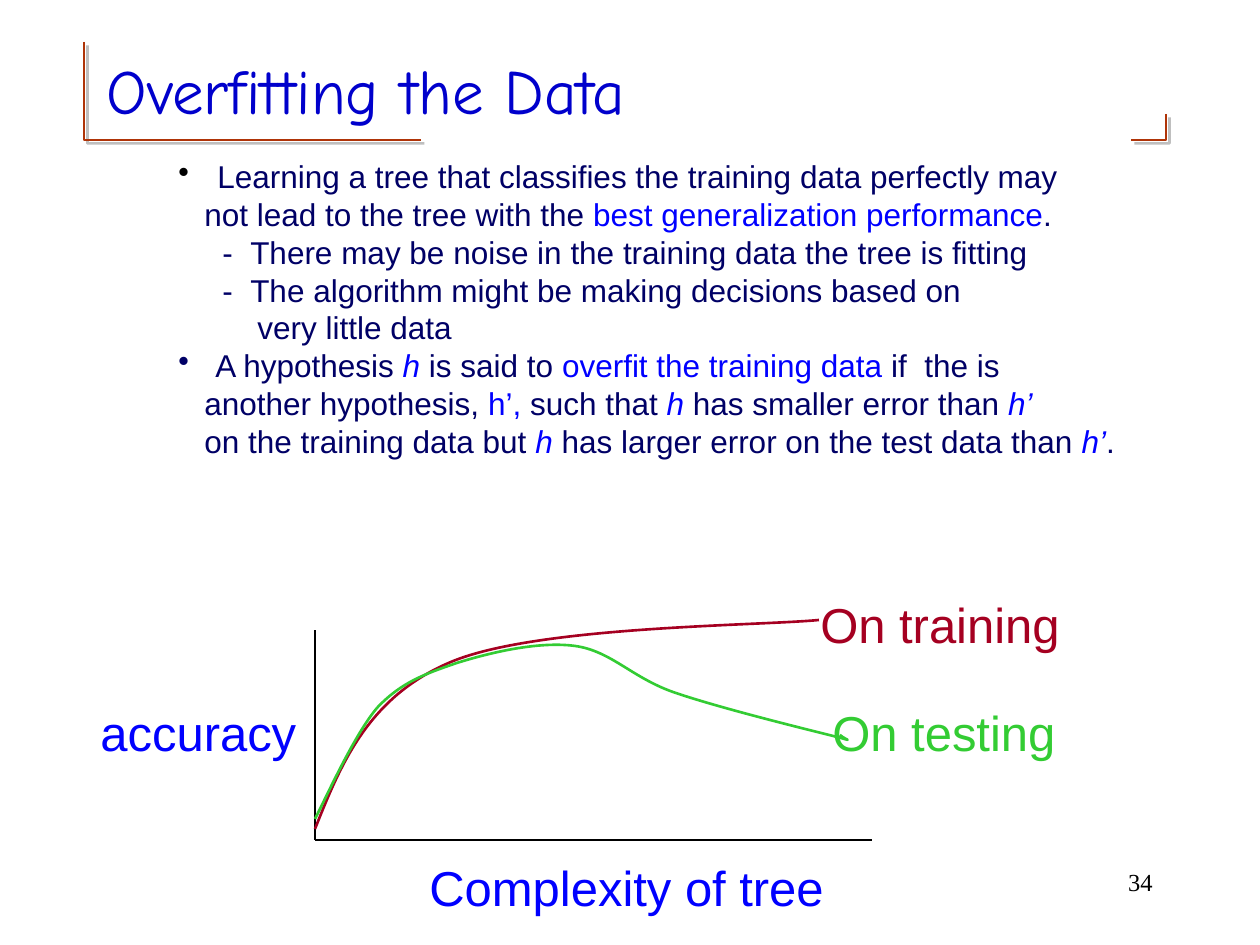
"""Build the slide on overfitting in decision trees."""
from lxml import etree
from pptx import Presentation, util as u
from pptx.dml.color import RGBColor
from pptx.enum import text
from pptx.oxml import parse_xml
from pptx.oxml.ns import nsdecls, qn

PX = 914400 / 126
HUE = {"ink": "000066", "blue": "0000FF", "title": "0000CC", "black": "000000",
       "rust": "AF3408", "train": "A50021", "test": "33CC33"}
SHADE = (f'<a:outerShdw {nsdecls("a")} dist="35560" dir="2700000" algn="ctr" rotWithShape="0">'
         '<a:srgbClr val="808080"><a:alpha val="50000"/></a:srgbClr></a:outerShdw>')


def trace(pts, hue):
    (x, y), *rest = [(a * PX, b * PX) for a, b in pts]
    pen = slide.shapes.build_freeform(x, y, scale=1.0)
    pen.add_line_segments(rest, close=False)
    shape = pen.convert_to_shape()
    shape.fill.background()
    shape.shadow.inherit = False
    shape.line.color.rgb = RGBColor.from_string(HUE[hue])
    shape.line.width = u.Pt(1.5)
    return shape


def write(para, words, hue, **style):
    run = para.add_run()
    run.text = words
    for key, val in style.items():
        setattr(run.font, key, val)
    run.font.color.rgb = RGBColor.from_string(HUE[hue])


prs = Presentation()
prs.slide_width, prs.slide_height = u.Inches(10), u.Inches(7.5)
slide = prs.slides.add_slide(prs.slide_layouts[5])

for pts in ([(84, 42), (84, 140), (421, 140)], [(1166, 114), (1166, 140), (1131, 140)]):
    frame = trace(pts, "rust")
    frame._element.spPr.find(qn("a:effectLst")).append(parse_xml(SHADE))

head = slide.shapes.title
spot = {"left": 94, "top": 10, "width": 1134, "height": 158}
for key, val in spot.items():
    setattr(head, key, u.Emu(round(val * PX)))
head.text_frame.vertical_anchor = text.MSO_ANCHOR.MIDDLE
para = head.text_frame.paragraphs[0]
para.alignment = text.PP_ALIGN.LEFT
write(para, "Overfitting the Data", "title", name="Comic Neue", size=u.Pt(36))

BODY = [
    ("black", 39, 39, [("Learning a tree that classifies the training data perfectly may", "ink", False)]),
    ("", 26, 0, [("not lead to the tree with the ", "ink", False),
                 ("best generalization performance", "blue", False), (".", "ink", False)]),
    ("", 72, 28, [("-\tThere may be noise in the training data the tree is fitting", "ink", False)]),
    ("", 72, 28, [("-\tThe algorithm might be making decisions based on", "ink", False)]),
    ("", 79, 0, [("very little data", "ink", False)]),
    ("ink", 37, 37, [("A hypothesis ", "ink", False), ("h", "blue", True),
                     (" is said to ", "ink", False),
                     ("overfit the training data", "blue", False),
                     (" if  the is", "ink", False)]),
    ("", 26, 0, [("another hypothesis, ", "ink", False), ("h’, ", "blue", False),
                 ("such that ", "ink", False), ("h ", "blue", True),
                 ("has smaller error than ", "ink", False), ("h’", "blue", True)]),
    ("", 26, 0, [("on the training data but ", "ink", False), ("h", "blue", True),
                 (" has larger error on the test data than ", "ink", False),
                 ("h’", "blue", True), (".", "ink", False)]),
]
box = slide.shapes.add_textbox(*[round(v * PX) for v in (166, 151, 970, 315)])
box.text_frame.word_wrap = True
for i, (mark, left, hang, runs) in enumerate(BODY):
    para = box.text_frame.add_paragraph() if i else box.text_frame.paragraphs[0]
    prop = para._p.get_or_add_pPr()
    prop.set("marL", str(round(left * PX)))
    prop.set("indent", str(round(-hang * PX)))
    if mark:
        color = etree.SubElement(prop, qn("a:buClr"))
        etree.SubElement(color, qn("a:srgbClr")).set("val", HUE[mark])
        etree.SubElement(prop, qn("a:buChar")).set("char", "•")
    for words, hue, slant in runs:
        write(para, words, hue, name="Arial", size=u.Pt(18), italic=slant)

for ends in ((315, 630, 315, 840), (315, 840, 872, 840)):
    axis = slide.shapes.add_connector(1, *[round(v * PX) for v in ends])
    axis.line.color.rgb = RGBColor.from_string(HUE["black"])
    axis.line.width = u.Pt(1.5)
    etree.SubElement(axis._element.spPr, qn("a:effectLst"))

LABELS = [
    ("Complexity of tree", "blue", 417, 851, 420),
    ("accuracy", "blue", 88, 696, 221),
    ("On testing", "test", 820, 696, 248),
    ("On training", "train", 808, 588, 265),
]
CURVES = {
    "train": [(315, 829), (341, 764), (368, 697), (451, 662), (536, 626), (757, 626), (819, 620)],
    "test": [(315, 819), (325, 800), (355, 733), (378, 707), (402, 682), (425, 674), (457, 663),
             (489, 653), (538, 641), (575, 646), (611, 651), (631, 677), (673, 692),
             (716, 707), (801, 728), (829, 735), (857, 742), (847, 741), (840, 735)],
}
for hue, knots in CURVES.items():
    curve = trace(knots, hue)
    legs = list(curve._element.iter(qn("a:lnTo")))
    track = legs[0].getparent()
    for i in range(0, len(legs), 3):
        bend = etree.SubElement(track, qn("a:cubicBezTo"))
        for leg in legs[i:i + 3]:
            bend.append(leg[0])
            track.remove(leg)

for words, hue, x, y, w in LABELS:
    box = slide.shapes.add_textbox(*[round(v * PX) for v in (x, y, w, 72)])
    box.text_frame.word_wrap = False
    box.text_frame.auto_size = text.MSO_AUTO_SIZE.SHAPE_TO_FIT_TEXT
    write(box.text_frame.paragraphs[0], words, hue, name="Arial", size=u.Pt(28))

box = slide.shapes.add_textbox(*[round(v * PX) for v in (903, 861, 262, 63)])
box.text_frame.word_wrap = True
para = box.text_frame.paragraphs[0]
para.alignment = text.PP_ALIGN.RIGHT
write(para, "34", "black", name="Times New Roman", size=u.Pt(14))

prs.save("out.pptx")
